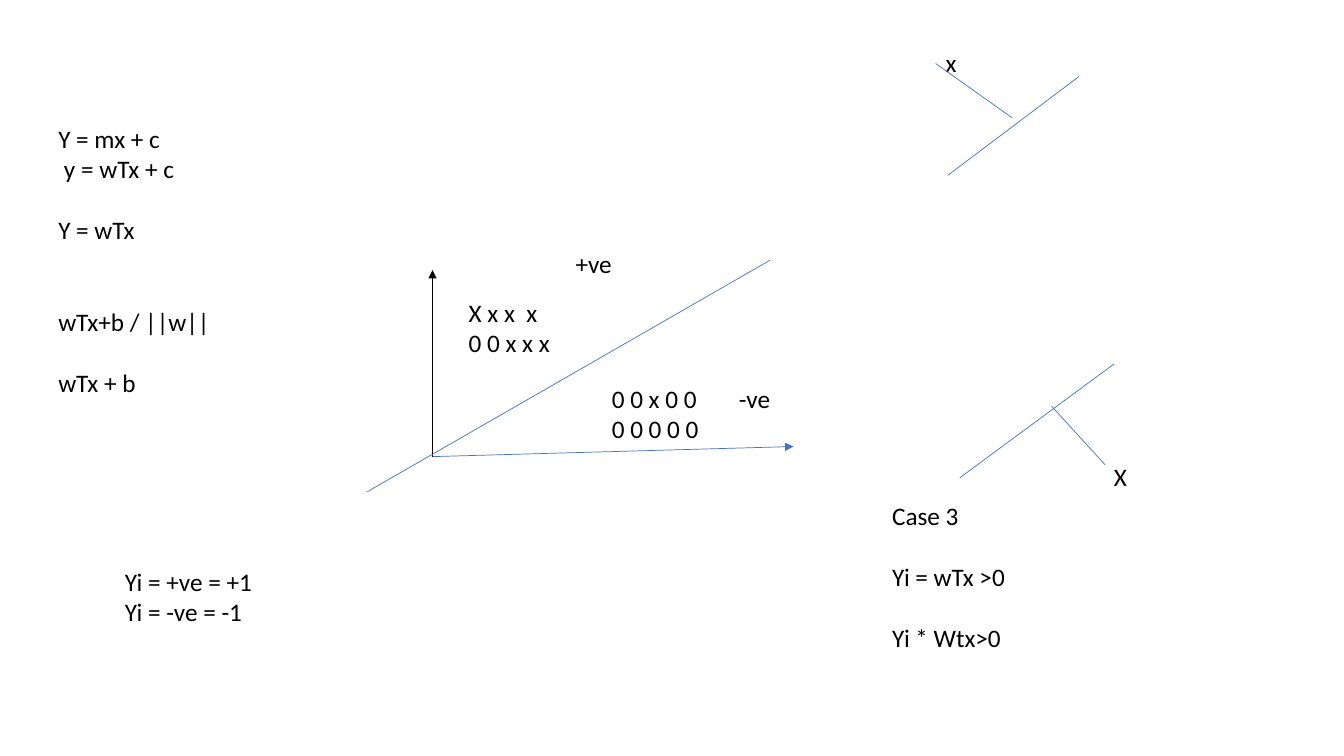
from dataclasses import dataclass

from lxml import etree
from pptx import Presentation
from pptx.dml.color import RGBColor
from pptx.enum import shapes, text
from pptx.oxml import ns
from pptx.slide import Slide
from pptx import util as u

PX = 9144  # EMU per px, 100 px to the inch
FONT = "Calibri"
FONT_PT = 18
BLANK_LINE_PT = 22
BLACK, BLUE = "000000", "4472C4"


@dataclass(frozen=True)
class Line:
    start: tuple[int, int]
    end: tuple[int, int]
    color: str = BLUE
    arrow: bool = False


@dataclass(frozen=True)
class Label:
    left: int
    top: int
    width: int
    height: int
    lines: tuple[str, ...]
    gaps: tuple[int, ...] = ()  # empty lines of space above each paragraph


LABELS = [
    # Points on both sides of the boundary
    Label(455, 290, 142, 71, ("X x x  x", "0 0 x x x")),
    Label(597, 375, 142, 71, ("0 0 x 0 0", "0 0 0 0 0")),
    Label(561, 241, 93, 40, ("+ve",)),
    Label(723, 375, 79, 40, ("-ve",)),
    # Equations
    Label(48, 117, 277, 283,
          ("Y = mx + c", " y = wTx + c", "Y = wTx", "wTx+b / ||w||", "wTx + b"),
          (0, 0, 1, 2, 1)),
    Label(114, 557, 187, 71, ("Yi = +ve = +1", "Yi = -ve = -1")),
    Label(875, 491, 282, 222, ("Case 3", "Yi = wTx >0", "Yi * Wtx>0"), (0, 1, 1)),
    # Single points beside the small boundaries
    Label(928, 42, 47, 40, ("x",)),
    Label(1095, 453, 53, 40, ("X",)),
]

ORIGIN = (429, 453)
LINES = [
    # Axes and class boundary
    Line(ORIGIN, (787, 443), arrow=True),
    Line(ORIGIN, (429, 268), BLACK, arrow=True),
    Line((364, 488), (764, 258)),
    # Point above a boundary
    Line((940, 174), (1070, 76)),
    Line((928, 63), (1004, 117)),
    # Point below a boundary
    Line((952, 474), (1105, 361)),
    Line((1043, 403), (1096, 461)),
]


def px(length: int) -> u.Emu:
    return u.Emu(length * PX)


def rgb(color: str) -> RGBColor:
    return RGBColor.from_string(color)


def draw_label(page: Slide, label: Label) -> None:
    box = page.shapes.add_textbox(
        px(label.left), px(label.top), px(label.width), px(label.height))
    frame = box.text_frame
    frame.word_wrap = True
    frame.auto_size = text.MSO_AUTO_SIZE.SHAPE_TO_FIT_TEXT
    frame.text = "\n".join(label.lines)
    gaps = label.gaps or (0,) * len(label.lines)
    for para, gap in zip(frame.paragraphs, gaps):
        para.space_before = u.Pt(gap * BLANK_LINE_PT)
        for span in para.runs:
            span.font.name = FONT
            span.font.size = u.Pt(FONT_PT)
            span.font.color.rgb = rgb(BLACK)


def draw_line(page: Slide, line: Line) -> None:
    connector = page.shapes.add_connector(
        shapes.MSO_CONNECTOR.STRAIGHT, *map(px, line.start + line.end))
    connector.line.color.rgb = rgb(line.color)
    connector.line.width = u.Pt(0.5)
    if line.arrow:
        outline = connector.line._get_or_add_ln()
        etree.SubElement(outline, ns.qn("a:tailEnd"), type="triangle")
    etree.SubElement(connector._element.spPr, ns.qn("a:effectLst"))


def main() -> None:
    deck = Presentation()
    deck.slide_width, deck.slide_height = px(1333), px(750)
    page = deck.slides.add_slide(deck.slide_layouts[6])
    for label in LABELS:
        draw_label(page, label)
    for line in LINES:
        draw_line(page, line)
    deck.save("out.pptx")


if __name__ == "__main__":
    main()
